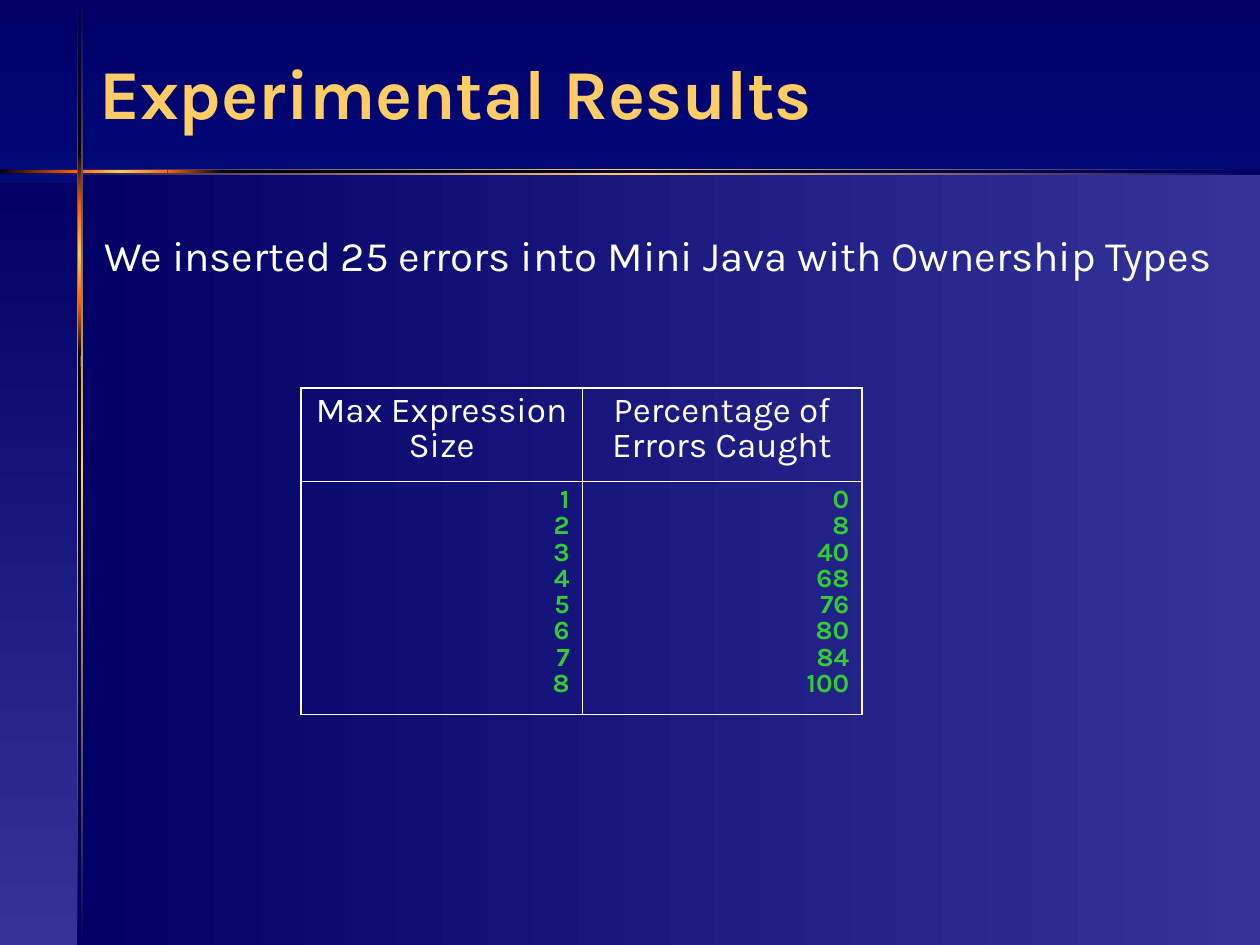
from copy import deepcopy

from lxml import etree
from pptx import Presentation, util as u
from pptx.dml.color import RGBColor
from pptx.enum import shapes, text
from pptx.oxml.ns import qn

HUES = {"navy": "000066", "blue": "0033CC", "indigo": "333399", "gold": "FFCC66",
        "fire": "FF6600", "black": "000000", "white": "FFFFFF", "green": "33CC33"}
ALIGN = {"l": text.PP_ALIGN.LEFT, "c": text.PP_ALIGN.CENTER, "r": text.PP_ALIGN.RIGHT}
DOWN, LEFT = 270, 180


def write(frame, lines, size=24, hue="white", bold=False, align="l", line=0.85, before=0):
    """Fill a text frame with one paragraph per line."""
    frame.word_wrap = True
    for i, words in enumerate(lines):
        para = frame.add_paragraph() if i else frame.paragraphs[0]
        para.alignment = ALIGN[align]
        para.line_spacing = line
        para.space_before = u.Pt(before)
        run = para.add_run()
        run.text = words
        font = run.font
        font.name, font.size, font.bold = "Karla", u.Pt(size), bold
        font.color.rgb = RGBColor.from_string(HUES[hue])


def blend(fill, root, hues, angle):
    """Give a fill an evenly spaced linear gradient."""
    fill.gradient()
    fill.gradient_angle = angle
    stops = root.find(".//" + qn("a:gsLst"))
    while len(stops) < len(hues):
        stops.append(deepcopy(stops[-1]))
    for i, (stop, hue) in enumerate(zip(fill.gradient_stops, hues)):
        stop.color.rgb = RGBColor.from_string(HUES[hue])
        stop.position = i / (len(hues) - 1)


class Deck:
    """Hold the presentation style and the current slide."""

    def __init__(self):
        self.file = Presentation()
        self.file.slide_width, self.file.slide_height = u.Inches(10), u.Inches(7.5)
        self.slide = self.file.slides.add_slide(self.file.slide_layouts[6])

    def back(self, hues, angle):
        """Paint the slide background."""
        blend(self.slide.background.fill, self.slide._element, hues, angle)

    def bar(self, box, hues, angle):
        """Add a borderless gradient rectangle."""
        shape = self.slide.shapes.add_shape(shapes.MSO_SHAPE.RECTANGLE, *map(u.Inches, box))
        shape.shadow.inherit = False
        shape.line.fill.background()
        blend(shape.fill, shape._element, hues, angle)

    def label(self, box, words, middle=False, shade=False, **style):
        """Add a text box, with a text shadow on request."""
        frame = self.slide.shapes.add_textbox(*map(u.Inches, box)).text_frame
        if middle:
            frame.vertical_anchor = text.MSO_ANCHOR.MIDDLE
        write(frame, [words], **style)
        if shade:
            props = frame.paragraphs[0].runs[0].font._element
            effect = etree.Element(qn("a:effectLst"))
            cast = etree.SubElement(effect, qn("a:outerShdw"), dist="63500", dir="2700000")
            etree.SubElement(cast, qn("a:srgbClr"), val=HUES["black"])
            props.find(qn("a:solidFill")).addnext(effect)

    def edge(self, cell, widths):
        """Draw the left, right, top and bottom borders of a cell."""
        props = cell._tc.get_or_add_tcPr()
        for i, (side, width) in enumerate(zip("LRTB", widths)):
            line = etree.Element(qn("a:ln" + side), w=str(u.Pt(width)))
            fill = etree.SubElement(line, qn("a:solidFill"))
            etree.SubElement(fill, qn("a:srgbClr"), val=HUES["white"])
            props.insert(i, line)

    def table(self, box, cols, rows, cells, styles, outer=1.08, inner=0.45):
        """Add a table with a heavier outline than its inner rules."""
        grid = self.slide.shapes.add_table(
            len(rows), len(cols), *map(u.Inches, box)).table
        grid.first_row = grid.horz_banding = False
        for col, width in zip(grid.columns, cols):
            col.width = u.Inches(width)
        for r, height in enumerate(rows):
            grid.rows[r].height = u.Inches(height)
            for c in range(len(cols)):
                cell = grid.cell(r, c)
                cell.fill.background()
                write(cell.text_frame, cells[r][c], **styles[r])
                rims = (c == 0, c == len(cols) - 1, r == 0, r == len(rows) - 1)
                self.edge(cell, [outer if rim else inner for rim in rims])


def main():
    """Build the slide."""
    deck = Deck()
    deck.back(("navy", "blue"), DOWN)
    deck.bar((0.62, 1.36, 9.38, 6.14), ("indigo", "navy"), LEFT)
    deck.bar((0, 1.45, 0.62, 6.05), ("navy", "indigo"), DOWN)

    glow, flare = ("navy", "gold", "navy"), ("fire", "gold", "fire")
    deck.bar((0, 1.34, 10, 0.05), glow, LEFT)
    for left, right, hues in ((1.33, 1.77, ("black", "fire")),
                              (0, 0.61, ("fire", "black")),
                              (1.77, 10, ("navy", "black")),
                              (0.6, 1.33, flare)):
        deck.bar((left, 1.35, right - left, 0.02), hues, LEFT)
    deck.bar((0.61, 0, 0.05, 7.5), glow, DOWN)
    for top, bottom, hues in ((1.65, 2.38, flare),
                              (0.01, 1.21, ("navy", "black")),
                              (2.82, 7.5, ("black", "navy")),
                              (2.38, 2.82, ("fire", "black")),
                              (1.21, 1.65, ("black", "fire"))):
        deck.bar((0.62, top, 0.02, bottom - top), hues, DOWN)

    deck.label((0.69, 0.22, 9.07, 1.09), "Experimental Results", middle=True, shade=True,
               size=40, hue="gold", bold=True, line=0.9)
    deck.label((0.73, 1.83, 9.19, 4.85),
               "We inserted 25 errors into Mini Java with Ownership Types", before=12)

    heads = [["Max Expression Size"], ["Percentage of Errors Caught"]]
    caught = (0, 8, 40, 68, 76, 80, 84, 100)
    data = [[str(n) for n in range(1, len(caught) + 1)], [str(n) for n in caught]]
    deck.table((2.39, 3.08, 4.45, 2.59), (2.23, 2.22), (0.74, 1.85), (heads, data),
               ({"size": 20, "align": "c", "before": 10},
                {"size": 15, "align": "r", "hue": "green", "bold": True}))
    deck.file.save("out.pptx")


if __name__ == "__main__":
    main()
